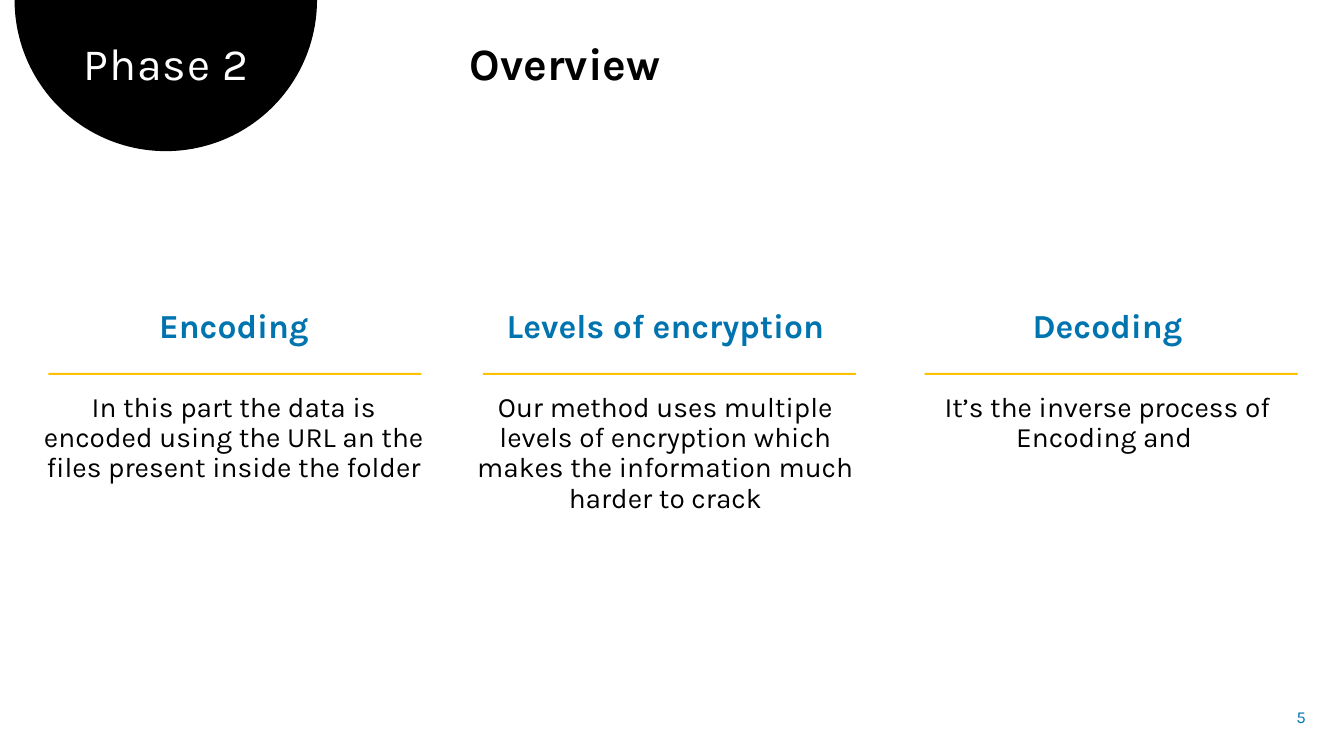
import math

import pptx
import pptx.dml.color
import pptx.enum.shapes
import pptx.enum.text
import pptx.util
from pptx.util import Inches

BLACK, WHITE, BLUE, GOLD = "000000", "FFFFFF", "0074AF", "FFC000"
ALIGN = pptx.enum.text.PP_ALIGN


def paint(color_format, hex_string):
    color_format.rgb = pptx.dml.color.RGBColor.from_string(hex_string)


def write(para, text, size, color, bold=False, align=ALIGN.CENTER, spacing=0.9, before=0, after=0):
    para.text = text
    para.alignment = align
    para.line_spacing = spacing
    para.space_before = pptx.util.Pt(before)
    para.space_after = pptx.util.Pt(after)
    para.font.name = "Karla"
    para.font.size = pptx.util.Pt(size)
    para.font.bold = bold
    paint(para.font.color, color)


deck = pptx.Presentation()
deck.slide_width, deck.slide_height = Inches(13.33), Inches(7.5)
page = deck.slides.add_slide(deck.slide_layouts[6])

# Black half disc hanging from the top edge
center, radius = 1.645, 1.5
arc = [
    (Inches(center + radius * math.cos(math.radians(angle))),
     Inches(radius * math.sin(math.radians(angle))))
    for angle in range(0, 181, 2)
]
outline = page.shapes.build_freeform(*arc[0])
outline.add_line_segments(arc[1:], close=True)
disc = outline.convert_to_shape()
disc.shadow.inherit = False
disc.fill.solid()
paint(disc.fill.fore_color, BLACK)
disc.line.fill.background()

# Three columns: box left, width, height, rule left, heading, body
columns = [
    (0.29, 4.06, 1.85, 0.48, "Encoding",
     "In this part the data is encoded using the URL an the files present inside the folder"),
    (4.5, 4.2, 1.85, 4.79, "Levels of encryption",
     "Our method uses multiple levels of encryption which makes the information much harder to crack"),
    (8.92, 4.13, 1.55, 9.17, "Decoding",
     "It’s the inverse process of Encoding and "),
]
for left, width, height, rule_left, heading, body in columns:
    box = page.shapes.add_textbox(Inches(left), Inches(3.02), Inches(width), Inches(height))
    box.text_frame.word_wrap = True
    write(box.text_frame.paragraphs[0], heading, 24, BLUE, bold=True, before=10, after=24)
    write(box.text_frame.add_paragraph(), body, 20, BLACK, before=10, after=12)

    rule = page.shapes.add_shape(
        pptx.enum.shapes.MSO_SHAPE.RECTANGLE,
        Inches(rule_left), Inches(3.7), Inches(3.7), Inches(0.02))
    rule.shadow.inherit = False
    rule.fill.solid()
    paint(rule.fill.fore_color, GOLD)
    rule.line.fill.background()

# Slide title
title = page.shapes.add_textbox(Inches(4.56), Inches(0.37), Inches(9.93), Inches(0.59))
title.text_frame.word_wrap = True
write(title.text_frame.paragraphs[0], "Overview", 32, BLACK, bold=True, align=ALIGN.LEFT, before=10)

# Phase label on the disc, slightly letter-spaced
phase = page.shapes.add_textbox(Inches(0.35), Inches(0.37), Inches(2.6), Inches(0.59))
phase.text_frame.word_wrap = True
para = phase.text_frame.paragraphs[0]
write(para, "Phase 2", 32, WHITE)
para.runs[0].font._element.set("spc", "60")

# Page number
number = page.shapes.add_textbox(Inches(12.5), Inches(6.91), Inches(0.55), Inches(0.4))
number.text_frame.word_wrap = False
number.text_frame.vertical_anchor = pptx.enum.text.MSO_ANCHOR.MIDDLE
write(number.text_frame.paragraphs[0], "5", 12, BLUE, align=ALIGN.RIGHT, spacing=1.0)

deck.save("out.pptx")
